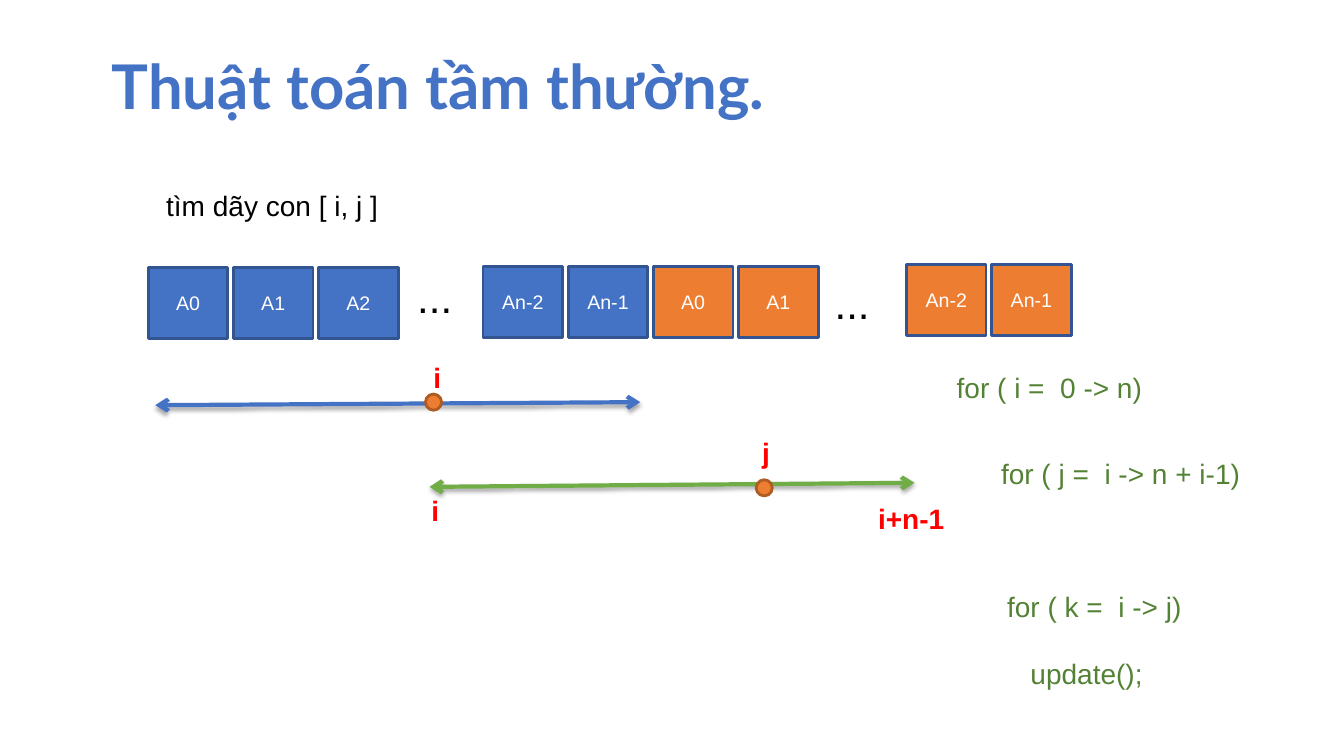
from dataclasses import dataclass

from lxml.etree import SubElement
from pptx import Presentation
from pptx.dml.color import RGBColor
from pptx.enum.shapes import MSO_CONNECTOR as Connector, MSO_SHAPE as Preset
from pptx.enum.text import MSO_ANCHOR as Anchor, PP_ALIGN as Align
from pptx.oxml.ns import qn
from pptx.slide import Slide
from pptx.util import Inches, Pt

BLUE = RGBColor(0x44, 0x72, 0xC4)
DARK_BLUE = RGBColor(0x32, 0x54, 0x91)
ORANGE = RGBColor(0xED, 0x7D, 0x31)
DARK_ORANGE = RGBColor(0xAF, 0x5C, 0x24)
GREEN = RGBColor(0x70, 0xAD, 0x47)
CODE_GREEN = RGBColor(0x54, 0x82, 0x35)
RED = RGBColor(0xFF, 0x00, 0x00)
BLACK = RGBColor(0x00, 0x00, 0x00)
WHITE = RGBColor(0xFF, 0xFF, 0xFF)

CELL_WIDTH, CELL_HEIGHT, CELL_PITCH = 0.79, 0.71, 0.845
DOT_SIZE = 0.16
CODE_WIDTH = 3.88


@dataclass
class CellRun:
    """Neighbouring array cells that share a top edge."""
    left: float
    top: float
    cells: list[tuple[str, RGBColor]]


@dataclass
class Label:
    left: float
    top: float
    width: float
    height: float
    lines: list[str]
    color: RGBColor
    size: float = 20
    bold: bool = False
    font: str = "Arial"
    anchor: Anchor = Anchor.TOP
    line_spacing: float = 1.0
    gap: float = 0


@dataclass
class Span:
    """A double-headed range with a dot marking one index on it."""
    start: tuple[float, float]
    end: tuple[float, float]
    color: RGBColor
    dot: tuple[float, float]


CELL_RUNS = [
    CellRun(1.47, 2.65, [("A0", BLUE), ("A1", BLUE), ("A2", BLUE)]),
    CellRun(4.79, 2.64, [("An-2", BLUE), ("An-1", BLUE), ("A0", ORANGE), ("A1", ORANGE)]),
    CellRun(8.99, 2.62, [("An-2", ORANGE), ("An-1", ORANGE)]),
]

SPANS = [
    Span((1.54, 4.02), (6.35, 3.99), BLUE, (4.22, 3.91)),
    Span((4.26, 4.83), (9.07, 4.79), GREEN, (7.5, 4.76)),
]

TITLE = Label(1.01, 0.16, 11.5, 1.45, ["Thuật toán tầm thường."], BLUE, 44, True,
              "Lato", Anchor.MIDDLE, 0.9)

LABELS = [
    Label(1.55, 1.82, 4.01, 0.44, ["tìm dãy con [ i, j ]"], BLACK),
    Label(4.04, 2.64, 0.66, 0.6, ["..."], BLACK, 30),
    Label(8.18, 2.7, 0.66, 0.6, ["..."], BLACK, 30),
    Label(4.2, 3.53, 0.34, 0.44, ["i"], RED, bold=True),
    Label(7.46, 4.27, 0.39, 0.44, ["j"], RED, bold=True),
    Label(4.18, 4.85, 0.34, 0.44, ["i"], RED, bold=True),
    Label(8.61, 4.93, 0.99, 0.44, ["i+n-1"], RED, bold=True),
    Label(9.39, 3.63, CODE_WIDTH, 0.44, ["for ( i =  0 -> n)"], CODE_GREEN),
    Label(9.83, 4.48, CODE_WIDTH, 0.44, ["for ( j =  i -> n + i-1)"], CODE_GREEN),
    Label(9.89, 5.8, CODE_WIDTH, 1.11, ["for ( k =  i -> j)", "   update();"], CODE_GREEN,
          gap=24),
]


def add_label(page: Slide, label: Label) -> None:
    box = page.shapes.add_textbox(Inches(label.left), Inches(label.top),
                                  Inches(label.width), Inches(label.height))
    frame = box.text_frame
    frame.word_wrap = True
    frame.vertical_anchor = label.anchor
    for index, line in enumerate(label.lines):
        para = frame.add_paragraph() if index else frame.paragraphs[0]
        para.text = line
        para.line_spacing = label.line_spacing
        if index:
            para.space_before = Pt(label.gap)
        para.font.name = label.font
        para.font.size = Pt(label.size)
        para.font.bold = label.bold
        para.font.color.rgb = label.color


def add_filled(page: Slide, preset: Preset, left: float, top: float, width: float,
               height: float, fill: RGBColor, outline: RGBColor):
    shape = page.shapes.add_shape(preset, Inches(left), Inches(top),
                                  Inches(width), Inches(height))
    shape.shadow.inherit = False
    shape.fill.solid()
    shape.fill.fore_color.rgb = fill
    shape.line.color.rgb = outline
    shape.line.width = Pt(2)
    return shape


def add_cells(page: Slide, run: CellRun) -> None:
    for index, (name, fill) in enumerate(run.cells):
        cell = add_filled(page, Preset.RECTANGLE, run.left + index * CELL_PITCH, run.top,
                          CELL_WIDTH, CELL_HEIGHT, fill, DARK_BLUE)
        cell.text_frame.vertical_anchor = Anchor.MIDDLE
        para = cell.text_frame.paragraphs[0]
        para.text = name
        para.alignment = Align.CENTER
        para.font.name = "Arial"
        para.font.size = Pt(14)
        para.font.color.rgb = WHITE


def add_span(page: Slide, span: Span) -> None:
    arrow = page.shapes.add_connector(Connector.STRAIGHT, *map(Inches, span.start + span.end))
    arrow.line.color.rgb = span.color
    arrow.line.width = Pt(3)
    outline = arrow.line._get_or_add_ln()
    for tag in ("a:headEnd", "a:tailEnd"):
        SubElement(outline, qn(tag), type="arrow")
    effects = SubElement(arrow._element.spPr, qn("a:effectLst"))
    shadow = SubElement(effects, qn("a:outerShdw"), blurRad=str(Pt(3.1)), dist=str(Pt(1.8)),
                        dir="5400000", rotWithShape="0")
    shade = SubElement(shadow, qn("a:srgbClr"), val=str(BLACK))
    SubElement(shade, qn("a:alpha"), val="35000")
    add_filled(page, Preset.OVAL, *span.dot, DOT_SIZE, DOT_SIZE, ORANGE, DARK_ORANGE)


def main() -> None:
    deck = Presentation()
    deck.slide_width = Inches(13.33)
    deck.slide_height = Inches(7.5)
    page = deck.slides.add_slide(deck.slide_layouts[6])
    add_label(page, TITLE)
    for run in CELL_RUNS:
        add_cells(page, run)
    for span in SPANS:
        add_span(page, span)
    for label in LABELS:
        add_label(page, label)
    deck.save("out.pptx")


if __name__ == "__main__":
    main()
